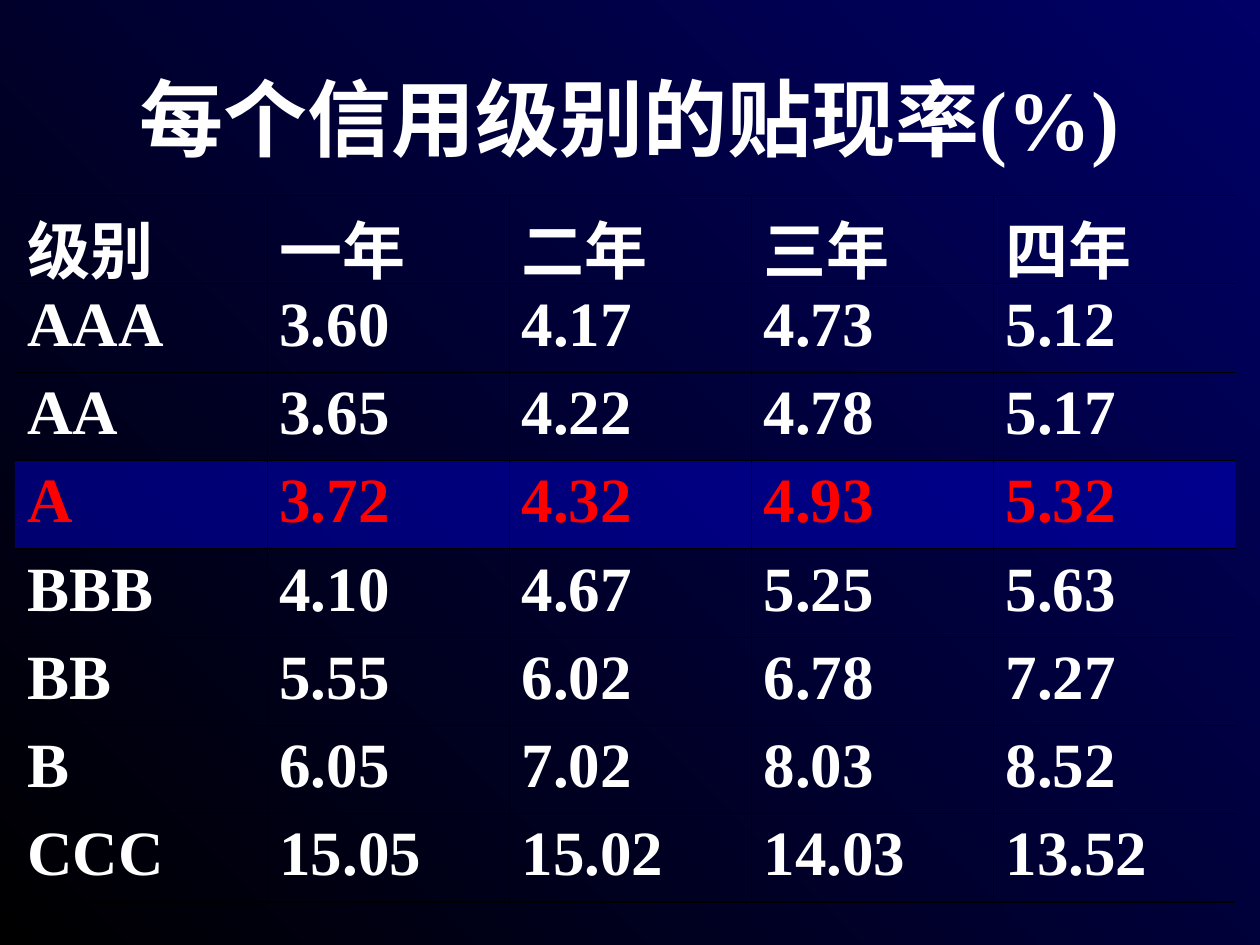
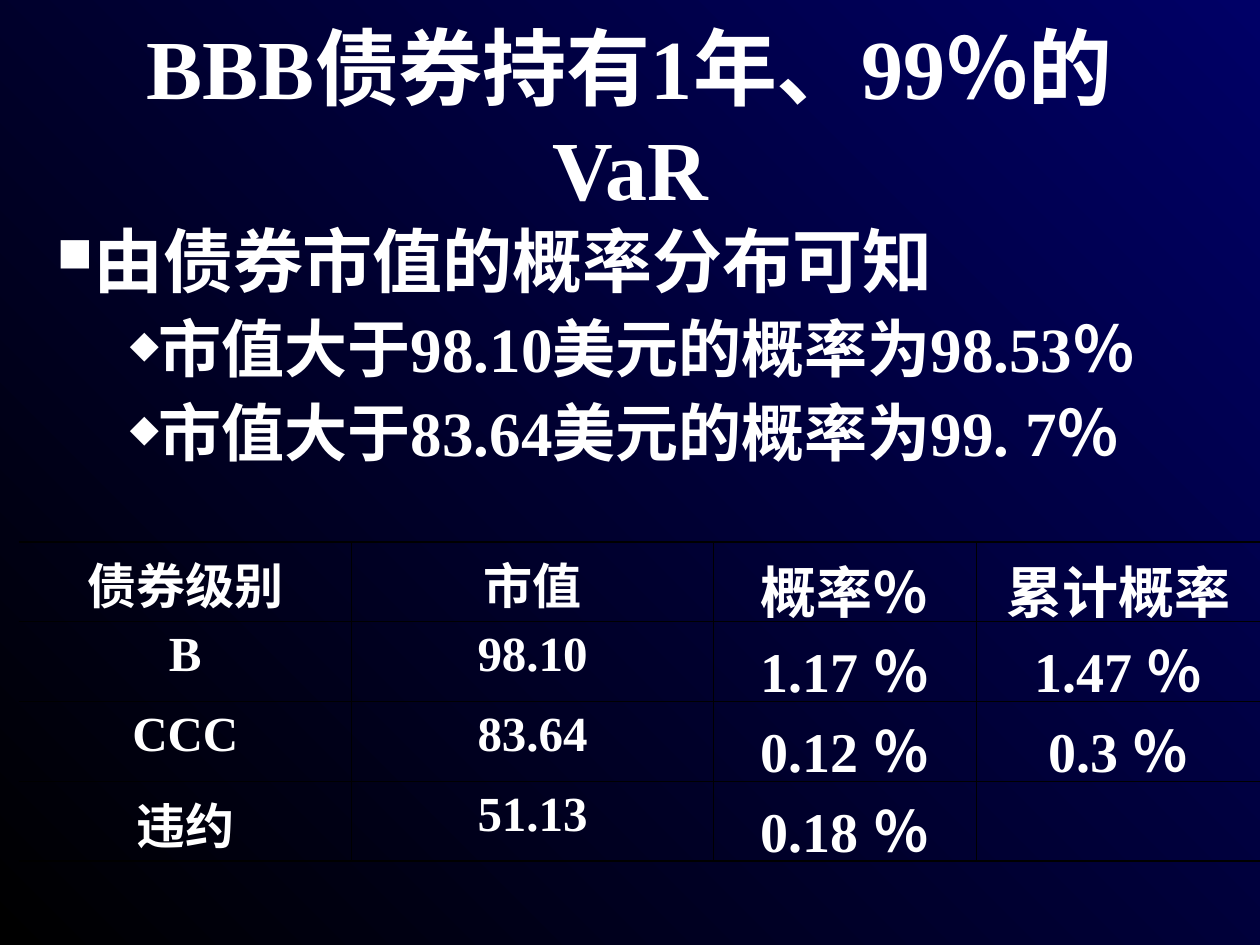
from dataclasses import dataclass

from lxml import etree
from pptx import Presentation
from pptx import util as u
from pptx.dml.color import RGBColor
from pptx.enum import text
from pptx.oxml import ns

WHITE = RGBColor(0xFF, 0xFF, 0xFF)
BLACK = RGBColor(0x00, 0x00, 0x00)
NAVY = RGBColor(0x00, 0x00, 0x66)
RED = RGBColor(0xFF, 0x00, 0x00)
HIGHLIGHT = RGBColor(0x00, 0x00, 0xCC)
HIGHLIGHT_ALPHA = 50
FONT = "Times New Roman"
THIN = u.Pt(0.45)
THICK = u.Pt(1.08)


@dataclass(frozen=True)
class Box:
    left: float
    top: float
    width: float
    height: float


@dataclass(frozen=True)
class BulletLevel:
    level: int
    symbol: str
    symbol_percent: int
    margin: float
    hanging: float
    size: int
    space_before: int


@dataclass(frozen=True)
class TableDesign:
    left: float
    top: float
    column_widths: tuple[float, ...]
    row_height: float
    column_sizes: tuple[int, ...]
    alignment: text.PP_ALIGN
    highlighted_row: int | None = None


TITLE_BOX = Box(1.27, 0.76, 22.86, 3.18)
BODY_BOX = Box(0.89, 4.45, 24, 5.28)
MAIN_POINT = BulletLevel(0, "■", 70, 0.74, 0.74, 40, 0)
SUB_POINT = BulletLevel(1, "◆", 60, 2.06, 0.58, 36, 9)

RATE_DESIGN = TableDesign(
    0.3, 3.94, (5.08,) + (4.88,) * 4, 1.78, (36,) * 5, text.PP_ALIGN.LEFT, highlighted_row=3
)
RATE_ROWS = (
    ("级别", "一年", "二年", "三年", "四年"),
    ("AAA", "3.60", "4.17", "4.73", "5.12"),
    ("AA", "3.65", "4.22", "4.78", "5.17"),
    ("A", "3.72", "4.32", "4.93", "5.32"),
    ("BBB", "4.10", "4.67", "5.25", "5.63"),
    ("BB", "5.55", "6.02", "6.78", "7.27"),
    ("B", "6.05", "7.02", "8.03", "8.52"),
    ("CCC", "15.05", "15.02", "14.03", "13.52"),
)

PROBABILITY_DESIGN = TableDesign(
    0.38, 10.92, (6.71, 7.29, 5.31, 5.72), 1.61, (28, 28, 32, 32), text.PP_ALIGN.CENTER
)
PROBABILITY_ROWS = (
    ("债券级别", "市值", "概率％", "累计概率"),
    ("B", "98.10", "1.17 ％", "1.47 ％"),
    ("CCC", "83.64", "0.12 ％", "0.3 ％"),
    ("违约", "51.13", "0.18 ％", ""),
)

VAR_POINTS = (
    (MAIN_POINT, "由债券市值的概率分布可知"),
    (SUB_POINT, "市值大于98.10美元的概率为98.53％"),
    (SUB_POINT, "市值大于83.64美元的概率为99. 7％"),
)


def add_element(parent, tag: str, **attributes: str):
    return etree.SubElement(parent, ns.qn(tag), attributes)


def style_font(paragraph, size: int, color: RGBColor = WHITE) -> None:
    font = paragraph.font
    font.name = FONT
    font.size = u.Pt(size)
    font.bold = True
    font.color.rgb = color


def paint_background(master) -> None:
    fill = master.background.fill
    fill.gradient()
    fill.gradient_angle = 225
    for stop, color in zip(fill.gradient_stops, (NAVY, BLACK)):
        stop.color.rgb = color


def add_text_frame(slide, box: Box):
    shape = slide.shapes.add_textbox(
        u.Cm(box.left), u.Cm(box.top), u.Cm(box.width), u.Cm(box.height)
    )
    shape.text_frame.word_wrap = True
    return shape.text_frame


def add_title(slide, title: str) -> None:
    frame = add_text_frame(slide, TITLE_BOX)
    frame.vertical_anchor = text.MSO_ANCHOR.MIDDLE
    paragraph = frame.paragraphs[0]
    paragraph.text = title
    paragraph.alignment = text.PP_ALIGN.CENTER
    style_font(paragraph, 48)


def add_bullets(slide, points: tuple[tuple[BulletLevel, str], ...]) -> None:
    frame = add_text_frame(slide, BODY_BOX)
    for index, (style, words) in enumerate(points):
        paragraph = frame.add_paragraph() if index else frame.paragraphs[0]
        paragraph.text = words
        paragraph.level = style.level
        paragraph.line_spacing = 0.9
        paragraph.space_before = u.Pt(style.space_before)
        properties = paragraph._p.get_or_add_pPr()
        properties.set("marL", str(u.Cm(style.margin)))
        properties.set("indent", str(-u.Cm(style.hanging)))
        bullet_color = add_element(properties, "a:buClr")
        add_element(bullet_color, "a:srgbClr", val=str(WHITE))
        add_element(properties, "a:buSzPct", val=str(style.symbol_percent * 1000))
        add_element(properties, "a:buChar", char=style.symbol)
        style_font(paragraph, style.size)


def add_border(cell, side: str, width: int | None) -> None:
    line = add_element(cell._tc.get_or_add_tcPr(), f"a:ln{side}")
    if width is None:
        add_element(line, "a:noFill")
        return
    line.set("w", str(width))
    add_element(add_element(line, "a:solidFill"), "a:srgbClr", val=str(BLACK))


def fill_cell(cell, highlighted: bool) -> None:
    if not highlighted:
        cell.fill.background()
        return
    cell.fill.solid()
    cell.fill.fore_color.rgb = HIGHLIGHT
    fill = cell._tc.tcPr.find(ns.qn("a:solidFill"))
    add_element(fill[0], "a:alpha", val=str(HIGHLIGHT_ALPHA * 1000))


def add_grid(slide, design: TableDesign, rows: tuple[tuple[str, ...], ...]) -> None:
    last_row, last_column = len(rows) - 1, len(design.column_widths) - 1
    table = slide.shapes.add_table(
        len(rows),
        len(design.column_widths),
        u.Cm(design.left),
        u.Cm(design.top),
        u.Cm(sum(design.column_widths)),
        u.Cm(design.row_height * len(rows)),
    ).table
    table.first_row = False
    table.horz_banding = False
    for column, width in zip(table.columns, design.column_widths):
        column.width = u.Cm(width)
    for row_index, values in enumerate(rows):
        table.rows[row_index].height = u.Cm(design.row_height)
        highlighted = row_index == design.highlighted_row
        for column_index, value in enumerate(values):
            cell = table.cell(row_index, column_index)
            cell.text = value
            paragraph = cell.text_frame.paragraphs[0]
            paragraph.alignment = design.alignment
            style_font(paragraph, design.column_sizes[column_index], RED if highlighted else WHITE)
            add_border(cell, "L", THIN if column_index else None)
            add_border(cell, "R", THIN if column_index < last_column else None)
            add_border(cell, "T", THIN if row_index else THICK)
            add_border(cell, "B", THIN if row_index < last_row else THICK)
            fill_cell(cell, highlighted)


def main() -> None:
    presentation = Presentation()
    presentation.slide_width = u.Cm(25.4)
    presentation.slide_height = u.Cm(19.05)
    paint_background(presentation.slide_master)
    blank = presentation.slide_layouts[6]

    rate_slide = presentation.slides.add_slide(blank)
    add_title(rate_slide, "每个信用级别的贴现率(%)")
    add_grid(rate_slide, RATE_DESIGN, RATE_ROWS)

    var_slide = presentation.slides.add_slide(blank)
    add_title(var_slide, "BBB债券持有1年、99％的VaR")
    add_bullets(var_slide, VAR_POINTS)
    add_grid(var_slide, PROBABILITY_DESIGN, PROBABILITY_ROWS)

    presentation.save("out.pptx")


if __name__ == "__main__":
    main()
